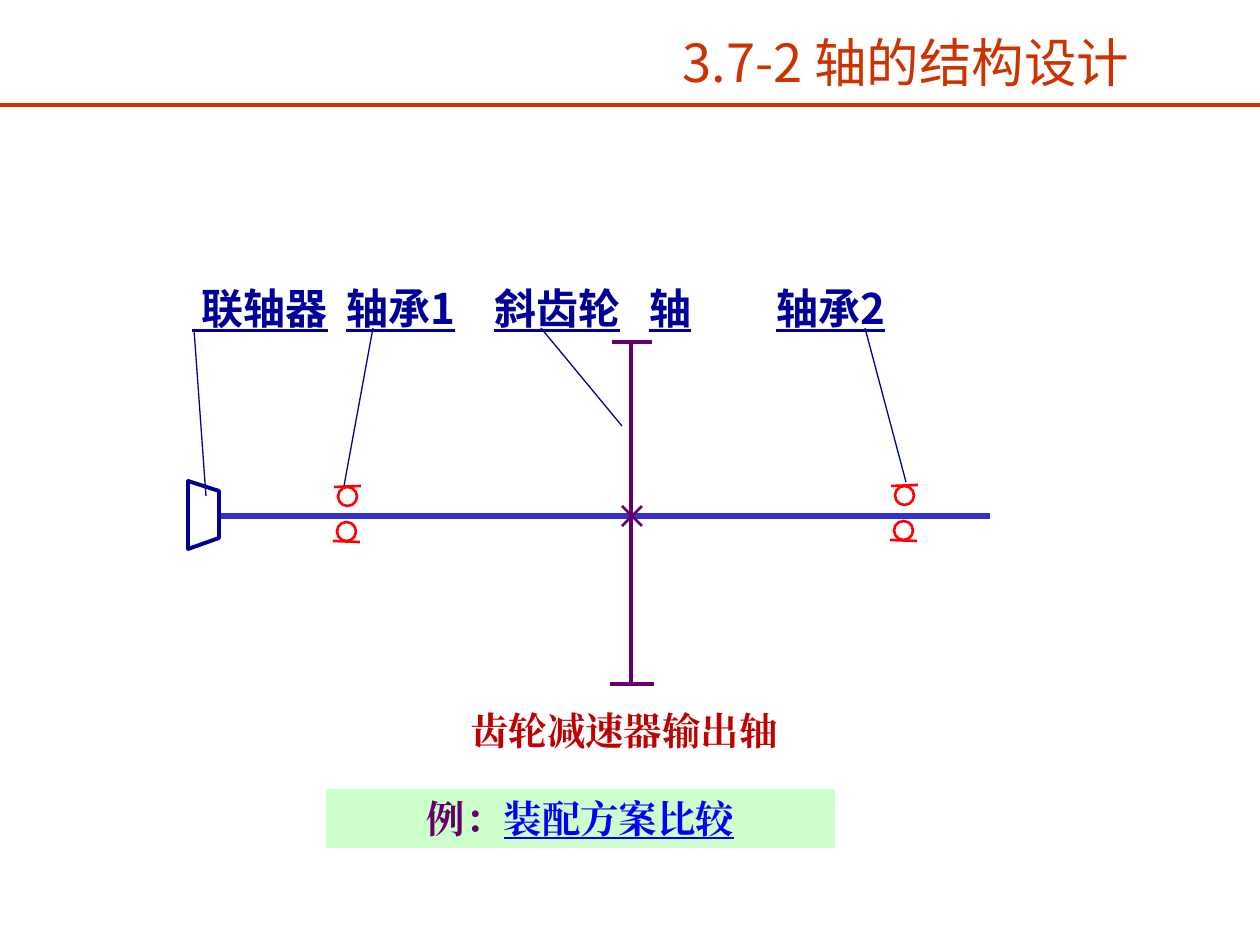
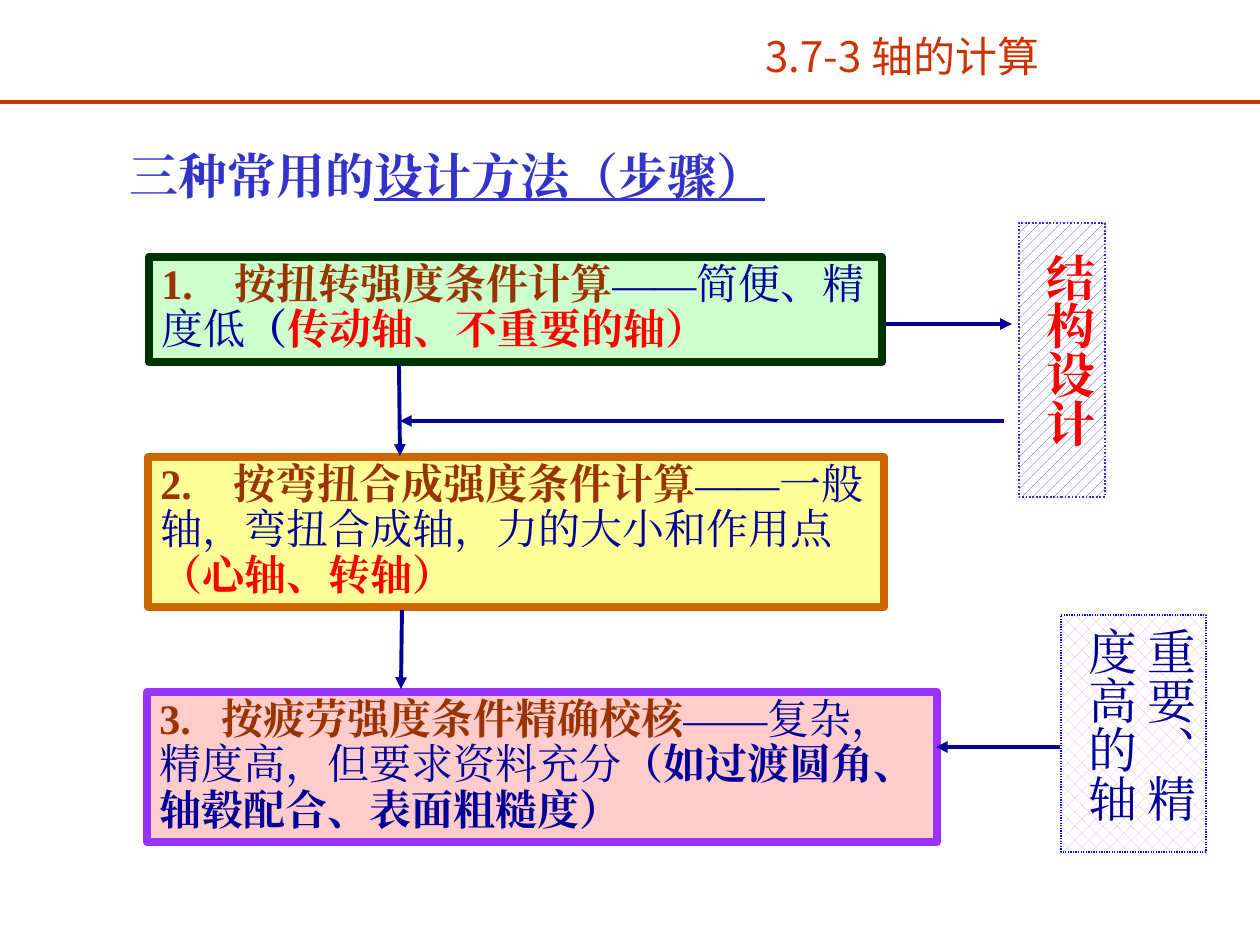
"""Build two slides on shaft structure and shaft calculation."""
from lxml.etree import SubElement
from pptx import Presentation
from pptx.dml.color import RGBColor
from pptx.enum.dml import MSO_LINE, MSO_PATTERN
from pptx.enum.shapes import MSO_CONNECTOR, MSO_SHAPE
from pptx.enum.text import MSO_ANCHOR, PP_ALIGN
from pptx.oxml.ns import qn
from pptx.util import Emu, Pt

SCALE = 914400 / 126
SANS = "Noto Sans CJK SC"
SERIF = "Times New Roman"
WHITE = RGBColor(0xFF, 0xFF, 0xFF)
RUST = RGBColor(0xCC, 0x33, 0x00)
NAVY = RGBColor(0x00, 0x00, 0x99)
INDIGO = RGBColor(0x33, 0x33, 0xCC)
BLUE = RGBColor(0x00, 0x00, 0xFF)
PLUM = RGBColor(0x66, 0x00, 0x66)
RED = RGBColor(0xFF, 0x00, 0x00)
CRIMSON = RGBColor(0xC0, 0x00, 0x00)
BROWN = RGBColor(0x99, 0x33, 0x00)
MINT = RGBColor(0xCC, 0xFF, 0xCC)
FOREST = RGBColor(0x00, 0x33, 0x00)
YELLOW = RGBColor(0xFF, 0xFF, 0x99)
ORANGE = RGBColor(0xCC, 0x66, 0x00)
ROSE = RGBColor(0xFF, 0xCC, 0xCC)
VIOLET = RGBColor(0x99, 0x33, 0xFF)
PINK = RGBColor(0xED, 0xAD, 0xE5)


def px(count):
    return Emu(round(count * SCALE))


def write(shape, runs, size, font=SERIF, align=PP_ALIGN.LEFT, tabs=(), space=None):
    """Fill a shape with runs of (text, colour, style), style being letters b and u."""
    frame = shape.text_frame
    frame.word_wrap = True
    frame.vertical_anchor = MSO_ANCHOR.TOP
    para = frame.paragraphs[0]
    para.alignment = align
    if tabs:
        stops = SubElement(para._p.get_or_add_pPr(), qn("a:tabLst"))
        for stop in tabs:
            SubElement(stops, qn("a:tab"), pos=str(px(stop)), algn="l")
    if space:
        para.line_spacing = space
    for text, color, style in runs:
        run = para.add_run()
        run.text = text
        run.font.size = Pt(size)
        run.font.name = font
        run.font.bold = "b" in style
        run.font.underline = "u" in style
        run.font.color.rgb = color
        SubElement(run._r.get_or_add_rPr(), qn("a:ea"), typeface=font)


def label(slide, area, runs, size, **look):
    write(slide.shapes.add_textbox(*map(px, area)), runs, size, **look)


def line(slide, start, end, color, width, arrow=False):
    link = slide.shapes.add_connector(
        MSO_CONNECTOR.STRAIGHT, *map(px, start), *map(px, end))
    link.line.color.rgb = color
    link.line.width = Pt(width)
    props = link._element.spPr
    if arrow:
        SubElement(props.find(qn("a:ln")), qn("a:tailEnd"), type="triangle")
    SubElement(props, qn("a:effectLst"))


def paint(shape, fill=None, edge=None, width=0):
    shape.shadow.inherit = False
    if fill:
        shape.fill.solid()
        shape.fill.fore_color.rgb = fill
    else:
        shape.fill.background()
    if edge:
        shape.line.color.rgb = edge
        shape.line.width = Pt(width)
    else:
        shape.line.fill.background()


def box(slide, area, fill=None, edge=None, width=0, kind=MSO_SHAPE.RECTANGLE):
    shape = slide.shapes.add_shape(kind, *map(px, area))
    paint(shape, fill, edge, width)
    return shape


def column(slide, area, pattern, ink, edge, width):
    """Add a dotted, patterned box for vertical text."""
    shape = box(slide, area, WHITE, edge, width)
    shape.fill.patterned()
    shape.fill.pattern = pattern
    shape.fill.fore_color.rgb = ink
    shape.fill.back_color.rgb = WHITE
    shape.line.dash_style = MSO_LINE.ROUND_DOT
    shape.text_frame._txBody.bodyPr.set("vert", "eaVert")
    return shape


def header(slide, text, area, size, rule):
    label(slide, area, [(text, RUST, "")], size, font=SANS)
    line(slide, (0, rule), (1260, rule), RUST, 2.25)


def bearing(slide, left, top):
    line(slide, (left, top + 1), (left + 27, top), RED, 1.5)
    line(slide, (left - 1, top + 55), (left + 26, top + 56), RED, 1.5)
    for x, y in ((left + 4, top + 1), (left + 3, top + 36)):
        box(slide, (x, y, 19, 19), edge=RED, width=1.5, kind=MSO_SHAPE.OVAL)


def shaft(slide):
    """Draw the shaft with coupling, bearings and gear."""
    line(slide, (220, 516), (990, 516), INDIGO, 3)
    for rise in (-10, 10):
        line(slide, (622, 516 + rise), (642, 516 - rise), PLUM, 1.5)
    bearing(slide, 334, 486)
    bearing(slide, 891, 485)
    build = slide.shapes.build_freeform(188, 481, scale=SCALE)
    build.add_line_segments([(219, 491), (219, 538), (188, 549)], close=True)
    paint(build.convert_to_shape(), edge=NAVY, width=2.25)
    line(slide, (631, 342), (631, 684), PLUM, 2.25)
    for y, half in ((342, 20), (684, 22)):
        line(slide, (632 - half, y), (632 + half, y), PLUM, 2.25)


def design(slide):
    shaft(slide)
    label(slide, (280, 701, 688, 59), [("齿轮减速器输出轴", CRIMSON, "b")], 22,
          align=PP_ALIGN.CENTER)
    runs = [(" 联轴器", NAVY, "bu")]
    for part in ("轴承1", "斜齿轮", "轴", "轴承2"):
        runs += [("\t", NAVY, "b"), (part, NAVY, "bu")]
    label(slide, (180, 276, 932, 63), runs, 24, font=SANS, tabs=(154, 302, 457, 584))
    for start, end in (((206, 496), (194, 329)), ((344, 486), (373, 328)),
                       ((906, 482), (865, 328)), ((622, 426), (541, 328))):
        line(slide, start, end, NAVY, 0.75)
    case = box(slide, (326, 789, 509, 59), MINT)
    write(case, [("例：", PLUM, "b"), ("装配方案比较", BLUE, "bu")], 22,
          align=PP_ALIGN.CENTER)
    header(slide, "3.7-2 轴的结构设计", (670, 24, 586, 76), 30, 105)


def methods(slide):
    label(slide, (117, 139, 795, 72),
          [("三种常用的", INDIGO, "b"), ("设计方法（步骤）", INDIGO, "bu")], 28)
    steps = (
        ((149, 257, 733, 105), MINT, FOREST, 73,
         [("1.\t按扭转强度条件计算", BROWN, "b"), ("——简便、精度低", NAVY, ""),
          ("（", NAVY, "b"), ("传动轴、不重要的轴）", RED, "b")]),
        ((148, 457, 736, 150), YELLOW, ORANGE, 73,
         [("2.\t按弯扭合成强度条件计算", BROWN, "b"),
          ("——一般轴，弯扭合成轴，力的大小和作用点", NAVY, ""),
          ("（心轴、转轴）", RED, "b")]),
        ((147, 692, 790, 150), ROSE, VIOLET, 62,
         [("3.\t按疲劳强度条件精确校核", BROWN, "b"),
          ("——复杂，精度高，但要求资料充分", NAVY, ""),
          ("（如过渡圆角、轴毂配合、表面粗糙度）", NAVY, "b")]),
    )
    for area, fill, edge, stop, runs in steps:
        write(box(slide, area, fill, edge, 4.5), runs, 24, tabs=(stop,), space=0.9)
    plan = column(slide, (1019, 223, 86, 274), MSO_PATTERN.PERCENT_20, INDIGO, INDIGO, 1)
    write(plan, [("结构设计", RED, "b")], 28, align=PP_ALIGN.CENTER)
    plan.text_frame.margin_top = px(30)
    key = column(slide, (1061, 615, 145, 237), MSO_PATTERN.PERCENT_25, PINK, BLUE, 0.75)
    write(key, [("重要、精度高的轴", NAVY, "")], 28)
    for start, end in (((886, 324), (1012, 324)), ((399, 365), (400, 456)),
                       ((402, 610), (401, 689)), ((1004, 421), (400, 421)),
                       ((1060, 747), (936, 747))):
        line(slide, start, end, NAVY, 2.25, arrow=True)
    header(slide, "3.7-3 轴的计算", (753, 24, 319, 63), 24, 102)


def main():
    deck = Presentation()
    deck.slide_width, deck.slide_height = px(1260), px(945)
    for draw in (design, methods):
        draw(deck.slides.add_slide(deck.slide_layouts[6]))
    deck.save("out.pptx")


if __name__ == "__main__":
    main()
